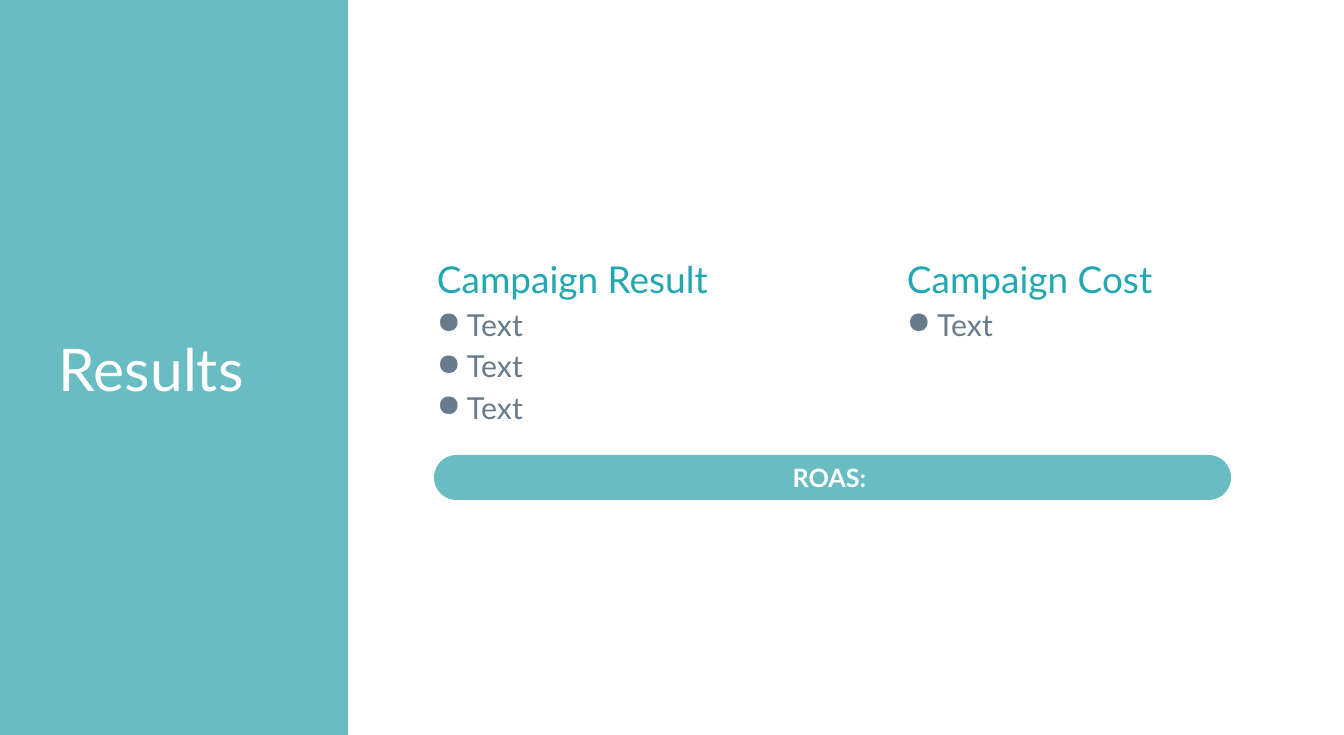
from lxml.etree import SubElement
from pptx import Presentation
from pptx.dml.color import RGBColor
from pptx.enum.shapes import MSO_SHAPE as Shape
from pptx.enum.text import MSO_ANCHOR as Anchor, PP_ALIGN as Align
from pptx.oxml.ns import qn
from pptx.util import Pt

PX = 914400 / 60.5
FONT = "Lato"
TEAL, HEADING, BODY, WHITE = "69BCC1", "21A8B0", "677B8C", "FFFFFF"


def px(length):
    return round(length * PX)


def color(value):
    return RGBColor.from_string(value)


def set_insets(frame, left, top, right, bottom):
    frame.margin_left, frame.margin_top = px(left), px(top)
    frame.margin_right, frame.margin_bottom = px(right), px(bottom)
    frame.word_wrap = True


def write(paragraph, text, size, font_color, bold=False):
    paragraph.text = text
    font = paragraph.font
    font.name, font.size, font.bold = FONT, Pt(size), bold
    font.color.rgb = color(font_color)


def add_bullet(paragraph, indent):
    properties = paragraph._p.get_or_add_pPr()
    properties.set("marL", str(px(indent)))
    properties.set("indent", str(-px(indent)))
    bullet_color = SubElement(properties, qn("a:buClr"))
    SubElement(bullet_color, qn("a:srgbClr"), val=BODY)
    SubElement(properties, qn("a:buChar"), char="●")


def add_panel(slide, kind, box, text, size, align, left=0, right=0, bold=False):
    """Teal shape with one line of white text, centred vertically."""
    shape = slide.shapes.add_shape(kind, *map(px, box))
    shape.shadow.inherit = False
    shape.fill.solid()
    shape.fill.fore_color.rgb = color(TEAL)
    shape.line.fill.background()
    frame = shape.text_frame
    set_insets(frame, left, 0, right, 0)
    frame.vertical_anchor = Anchor.MIDDLE
    paragraph = frame.paragraphs[0]
    write(paragraph, text, size, WHITE, bold)
    paragraph.alignment = align
    return shape


def add_sidebar(slide, box, title):
    add_panel(slide, Shape.RECTANGLE, box, title, 70, Align.LEFT, left=59)


def add_roas_bar(slide, box, text):
    bar = add_panel(slide, Shape.ROUNDED_RECTANGLE, box, text, 30,
                    Align.CENTER, right=6, bold=True)
    bar.adjustments[0] = 0.5


def add_column(slide, box, heading, items):
    """Heading with a bulleted list under it."""
    frame = slide.shapes.add_textbox(*map(px, box)).text_frame
    set_insets(frame, 13, 13, 13, 13)
    paragraph = frame.paragraphs[0]
    write(paragraph, heading, 44, HEADING)
    paragraph.line_spacing = 1.5
    for item in items:
        paragraph = frame.add_paragraph()
        write(paragraph, item, 36, BODY)
        paragraph.line_spacing = 1.15
        add_bullet(paragraph, 30)


def build_results_slide(presentation):
    slide = presentation.slides.add_slide(presentation.slide_layouts[6])
    # Title panel
    add_sidebar(slide, (0, 0, 348, 735), "Results")
    # Return on ad spend
    add_roas_bar(slide, (434, 455, 797, 45), "ROAS:")
    # Campaign columns
    add_column(slide, (424, 221, 457, 224), "Campaign Result", ["Text"] * 3)
    add_column(slide, (894, 221, 405, 169), "Campaign Cost", ["Text"])


def main():
    presentation = Presentation()
    presentation.slide_width, presentation.slide_height = px(1344), px(735)
    build_results_slide(presentation)
    presentation.save("out.pptx")


if __name__ == "__main__":
    main()
